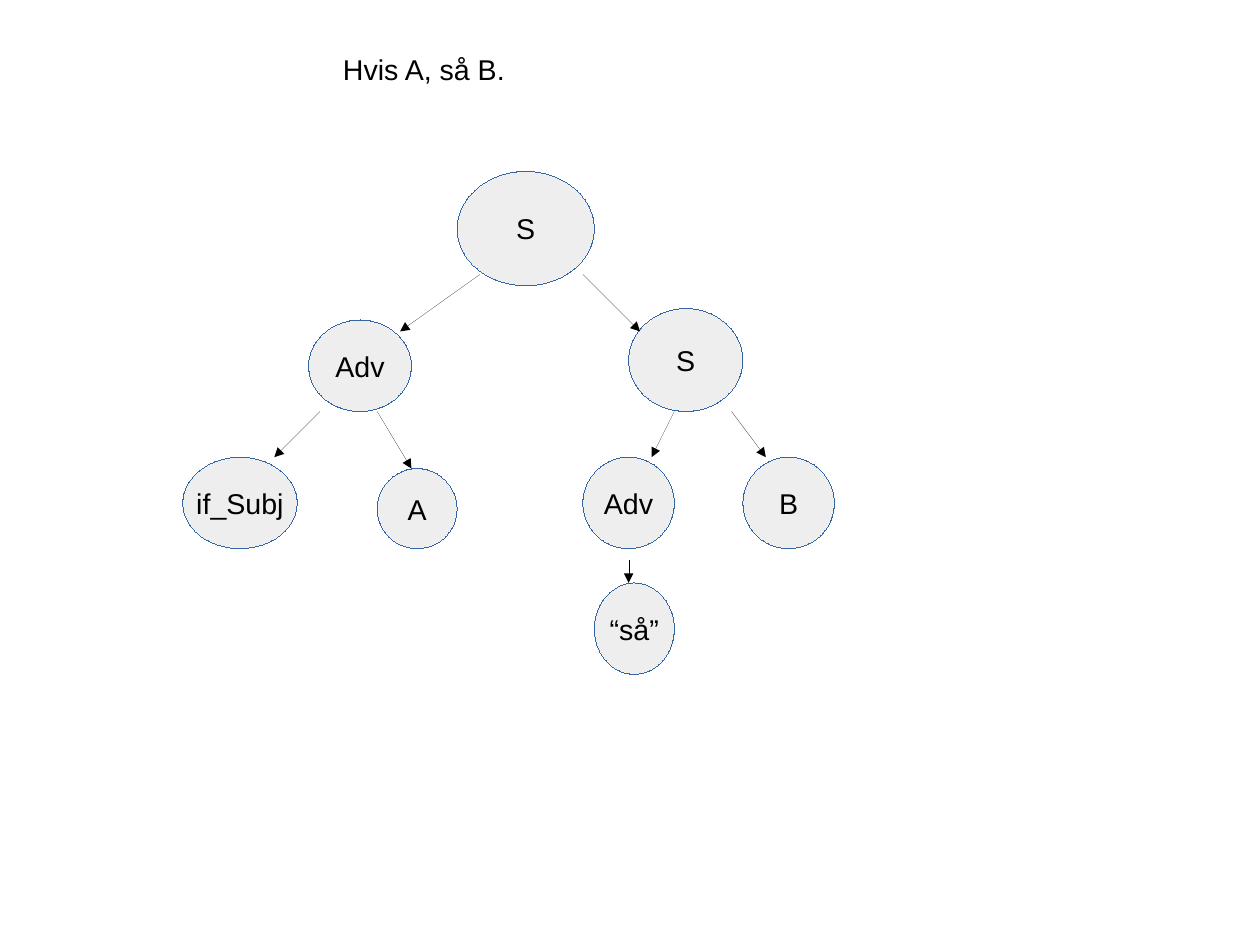
import pptx
import pptx.dml.color
import pptx.enum.shapes
import pptx.enum.text
import pptx.oxml
import pptx.oxml.ns
import pptx.util

Inches = pptx.util.Inches
ANCHOR = pptx.enum.text.MSO_ANCHOR
ALIGN = pptx.enum.text.PP_ALIGN


def color(hex_value):
    return pptx.dml.color.RGBColor.from_string(hex_value)


def write(shape, text, frame_format, alignment):
    frame = shape.text_frame
    for name, value in frame_format.items():
        setattr(frame, name, value)
    frame.text = text
    paragraph = frame.paragraphs[0]
    paragraph.alignment = alignment
    for name, value in FONT.items():
        setattr(paragraph.runs[0].font, name, value)
    paragraph.runs[0].font.color.rgb = color("000000")


FONT = {"name": "Arial", "size": pptx.util.Pt(18)}
MARGINS = {
    "margin_left": Inches(0.1), "margin_right": Inches(0.1),
    "margin_top": Inches(0.05), "margin_bottom": Inches(0.05),
    "auto_size": pptx.enum.text.MSO_AUTO_SIZE.NONE,
}
SENTENCE_FORMAT = {**MARGINS, "word_wrap": True, "vertical_anchor": ANCHOR.TOP}
NODE_FORMAT = {**MARGINS, "word_wrap": False, "vertical_anchor": ANCHOR.MIDDLE}

# The page is metric: 28 by 21 cm
presentation = pptx.Presentation()
presentation.slide_width = pptx.util.Cm(28)
presentation.slide_height = pptx.util.Cm(21)
slide = presentation.slides.add_slide(presentation.slide_layouts[5])

# Sentence being analysed
sentence = slide.shapes.title
sentence_place = {"left": 2.9, "top": 0.4, "width": 5, "height": 0.38}
for name, value in sentence_place.items():
    setattr(sentence, name, Inches(value))
write(sentence, "Hvis A, så B.", SENTENCE_FORMAT, ALIGN.LEFT)

# Nodes of the syntax tree: label, left, top, width, height
nodes = [
    ("S", 4, 1.5, 1.2, 1),
    ("Adv", 2.7, 2.8, 0.9, 0.8),
    ("if_Subj", 1.6, 4, 1, 0.8),
    ("A", 3.3, 4.1, 0.7, 0.7),
    ("S", 5.5, 2.7, 1, 0.9),
    ("Adv", 5.1, 4, 0.8, 0.8),
    ("“så”", 5.2, 5.1, 0.7, 0.8),
    ("B", 6.5, 4, 0.8, 0.8),
]
for label, *place in nodes:
    node = slide.shapes.add_shape(
        pptx.enum.shapes.MSO_SHAPE.OVAL, *map(Inches, place))
    node.shadow.inherit = False
    node.fill.solid()
    node.fill.fore_color.rgb = color("EEEEEE")
    node.line.color.rgb = color("3465A4")
    # A hairline needs an explicit zero, which line.width leaves out
    node.line._get_or_add_ln().set("w", "0")
    write(node, label, NODE_FORMAT, ALIGN.CENTER)

# Branches from parent to child: start x, start y, end x, end y
branches = [
    (4.2, 2.4, 3.5, 2.9),
    (2.8, 3.6, 2.4, 4),
    (3.3, 3.6, 3.6, 4.1),
    (5.1, 2.4, 5.6, 2.9),
    (5.9, 3.6, 5.7, 4),
    (6.4, 3.6, 6.7, 4),
    (5.5, 4.9, 5.5, 5.1),
]
for ends in branches:
    branch = slide.shapes.add_connector(
        pptx.enum.shapes.MSO_CONNECTOR.STRAIGHT, *map(Inches, ends))
    branch.line.color.rgb = color("000000")
    hairline = branch.line._get_or_add_ln()
    hairline.set("w", "0")
    hairline.append(pptx.oxml.parse_xml(
        f'<a:tailEnd {pptx.oxml.ns.nsdecls("a")} type="triangle"/>'))
    branch._element.spPr.append(pptx.oxml.parse_xml(
        f'<a:effectLst {pptx.oxml.ns.nsdecls("a")}/>'))

presentation.save("out.pptx")
